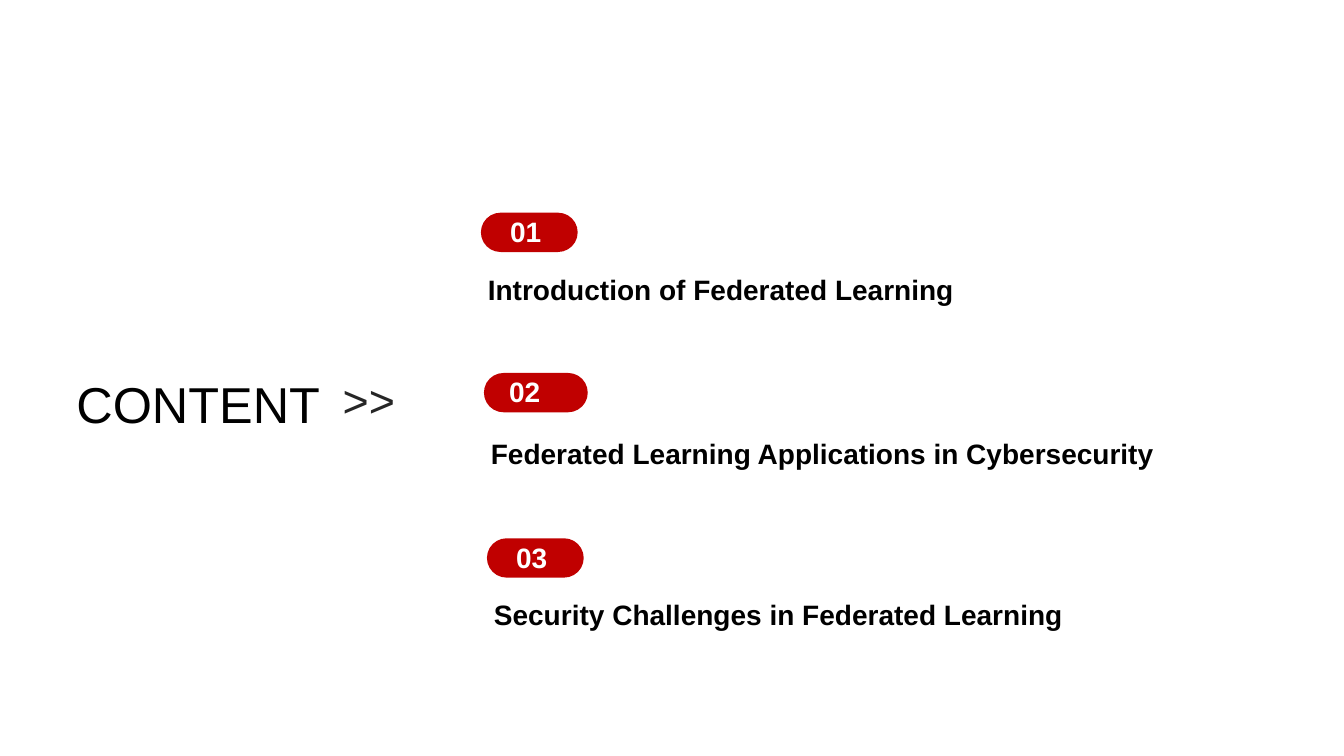
from pptx import Presentation
from pptx.dml.color import RGBColor
from pptx.enum.shapes import MSO_SHAPE as Shape
from pptx.enum.text import MSO_ANCHOR as Anchor, PP_ALIGN as Align
from pptx.util import Inches, Pt

COLORS = {"badge": "C00000", "number": "FFFFFF", "text": "000000",
          "arrows": "262626", "panel": "FFFFFF"}
FONT = "Arial"
HEADING = "CONTENT"
ARROWS = ">>"
CHAPTERS = [
    {"title": "Introduction of Federated Learning", "title_at": (4.74, 2.65),
     "title_width": 5.88, "badge_at": (4.77, 2.11), "badge_width": 0.96, "number_left": 4.96},
    {"title": "Federated Learning Applications in Cybersecurity", "title_at": (4.77, 4.28),
     "title_width": 6.83, "badge_at": (4.8, 3.7), "badge_width": 1.03, "number_left": 4.95},
    {"title": "Security Challenges in Federated Learning", "title_at": (4.8, 5.88),
     "title_width": 5.88, "badge_at": (4.83, 5.34), "badge_width": 0.96, "number_left": 5.02},
]
BADGE_HEIGHT = 0.39
LINE_HEIGHT = 0.44
NUMBER_WIDTH = 0.58
NUMBER_RISE = 0.03

prs = Presentation()
prs.slide_width, prs.slide_height = Inches(13.33), Inches(7.5)
slide = prs.slides.add_slide(prs.slide_layouts[6])


def write(holder, text, size, color, bold=False):
    frame = holder.text_frame
    frame.word_wrap = True
    frame.vertical_anchor = Anchor.TOP
    paragraph = frame.paragraphs[0]
    paragraph.text = text
    paragraph.alignment = Align.LEFT
    font = paragraph.font
    font.name, font.size, font.bold = FONT, Pt(size), bold
    font.color.rgb = RGBColor.from_string(COLORS[color])


def add_text(left, top, width, height, *style):
    box = slide.shapes.add_textbox(Inches(left), Inches(top), Inches(width), Inches(height))
    write(box, *style)


def add_filled(kind, left, top, width, height, color):
    shape = slide.shapes.add_shape(kind, Inches(left), Inches(top), Inches(width), Inches(height))
    shape.shadow.inherit = False
    shape.fill.solid()
    shape.fill.fore_color.rgb = RGBColor.from_string(COLORS[color])
    shape.line.fill.background()
    return shape


heading = add_filled(Shape.RECTANGLE, 0.66, 3.65, 2.64, 0.71, "panel")
write(heading, HEADING, 36, "text")
add_text(3.3, 3.65, 0.8, 0.64, ARROWS, 32, "arrows")

for number, chapter in enumerate(CHAPTERS, 1):
    badge_left, badge_top = chapter["badge_at"]
    badge = add_filled(Shape.ROUNDED_RECTANGLE, badge_left, badge_top,
                       chapter["badge_width"], BADGE_HEIGHT, "badge")
    badge.adjustments[0] = 0.5
    add_text(chapter["number_left"], badge_top - NUMBER_RISE, NUMBER_WIDTH, LINE_HEIGHT,
             f"{number:02d}", 20, "number", True)
    add_text(*chapter["title_at"], chapter["title_width"], LINE_HEIGHT,
             chapter["title"], 20, "text", True)

prs.save("out.pptx")
